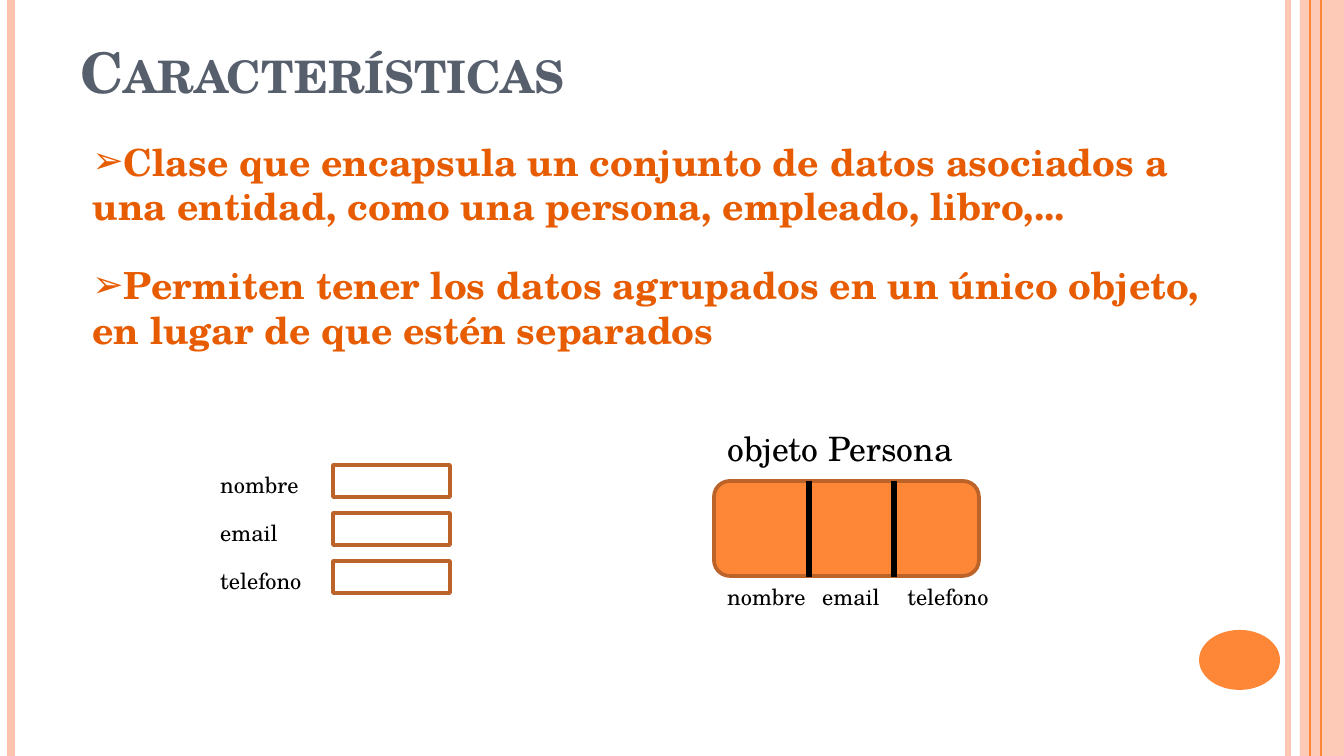
"""Build the slide on the characteristics of classes that group data."""
from lxml import etree
from pptx import Presentation
from pptx import util as u
from pptx.dml.color import RGBColor
from pptx.enum import shapes, text
from pptx.oxml.ns import qn

PX = u.Inches(10) / 1344
FONT = "TeX Gyre Schola"
ORANGE, PEACH, BROWN, BLACK = "FE8637", "FEC3AE", "BC6329", "000000"
FIELDS = ["nombre", "email", "telefono"]


def color(value):
    return RGBColor.from_string(value)


def add_run(paragraph, words, size, value, bold=False):
    paragraph.alignment = text.PP_ALIGN.LEFT
    run = paragraph.add_run()
    run.text = words
    run.font.name = FONT
    run.font.size = u.Pt(size)
    run.font.bold = bold
    run.font.color.rgb = color(value)
    return run


presentation = Presentation()
presentation.slide_width = round(1344 * PX)
presentation.slide_height = round(756 * PX)
slide = presentation.slides.add_slide(presentation.slide_layouts[1])
title, body = slide.placeholders

for shape, box in [(title, (67, 31, 1098, 126)), (body, (79, 132, 1164, 199))]:
    shape.left, shape.top, shape.width, shape.height = [round(n * PX) for n in box]
    shape.text_frame.word_wrap = True
    shape.text_frame.auto_size = text.MSO_AUTO_SIZE.NONE
    shape.text_frame.vertical_anchor = text.MSO_ANCHOR.TOP

run = add_run(title.text_frame.paragraphs[0], "Características", 30, "575F6D", True)
run.font._element.set("cap", "small")

points = [
    "Clase que encapsula un conjunto de datos asociados a una entidad, como una persona, empleado, libro,...",
    "Permiten tener los datos agrupados en un único objeto, en lugar de que estén separados",
]
for index, words in enumerate(points):
    frame = body.text_frame
    paragraph = frame.add_paragraph() if index else frame.paragraphs[0]
    paragraph.space_before = u.Pt(6)
    paragraph.space_after = u.Pt(12)
    add_run(paragraph, words, 20, "E75C01", True)
    properties = paragraph._p.get_or_add_pPr()
    properties.set("marL", "0")
    properties.set("indent", "0")
    etree.SubElement(properties, qn("a:buChar")).set("char", "➢")

RECTANGLE = shapes.MSO_SHAPE.RECTANGLE
blocks = [
    (RECTANGLE, (1300, 0, 44, 756), PEACH, None, 87),
    (shapes.MSO_SHAPE.OVAL, (1199, 630, 81, 60), ORANGE, None, 100),
    (shapes.MSO_SHAPE.ROUNDED_RECTANGLE, (714, 481, 265, 95), ORANGE, BROWN, 100),
]
blocks += [(RECTANGLE, (333, 465 + 48 * row, 117, 32), None, BROWN, 100) for row in range(len(FIELDS))]
for kind, box, fill, outline, opacity in blocks:
    shape = slide.shapes.add_shape(kind, *[round(n * PX) for n in box])
    shape.shadow.inherit = False
    if fill:
        shape.fill.solid()
        shape.fill.fore_color.rgb = color(fill)
    else:
        shape.fill.background()
    if outline:
        shape.line.color.rgb = color(outline)
        shape.line.width = u.Pt(2)
    else:
        shape.line.fill.background()
    if opacity < 100:
        tint = shape._element.spPr.find(".//" + qn("a:srgbClr"))
        etree.SubElement(tint, qn("a:alpha")).set("val", str(opacity * 1000))

lines = [
    (1288, 0, 756, PEACH, 3, 93),
    (11, 0, 756, PEACH, 4.5, 100),
    (1321, 0, 756, ORANGE, 1.5, 100),
    (1310, 0, 756, ORANGE, 0.75, 100),
    (809, 481, 577, BLACK, 3, 100),
    (894, 481, 577, BLACK, 3, 100),
]
for x, top, bottom, value, width, opacity in lines:
    ends = [round(n * PX) for n in (x, top, x, bottom)]
    line = slide.shapes.add_connector(shapes.MSO_CONNECTOR.STRAIGHT, *ends)
    line.line.color.rgb = color(value)
    line.line.width = u.Pt(width)
    if opacity < 100:
        tint = line._element.spPr.find(".//" + qn("a:srgbClr"))
        etree.SubElement(tint, qn("a:alpha")).set("val", str(opacity * 1000))
    etree.SubElement(line._element.spPr, qn("a:effectLst"))

labels = [("objeto Persona", 18, (714, 421, 328, 54))]
labels += [(field, 12, (207, 465 + 48 * row, 117, 40)) for row, field in enumerate(FIELDS)]
labels += [(field, 12, (x, 577, 117, 40)) for field, x in zip(FIELDS, (714, 809, 894))]
for words, size, box in labels:
    label = slide.shapes.add_textbox(*[round(n * PX) for n in box])
    label.text_frame.word_wrap = True
    label.text_frame.auto_size = text.MSO_AUTO_SIZE.SHAPE_TO_FIT_TEXT
    add_run(label.text_frame.paragraphs[0], words, size, BLACK)

presentation.save("out.pptx")
